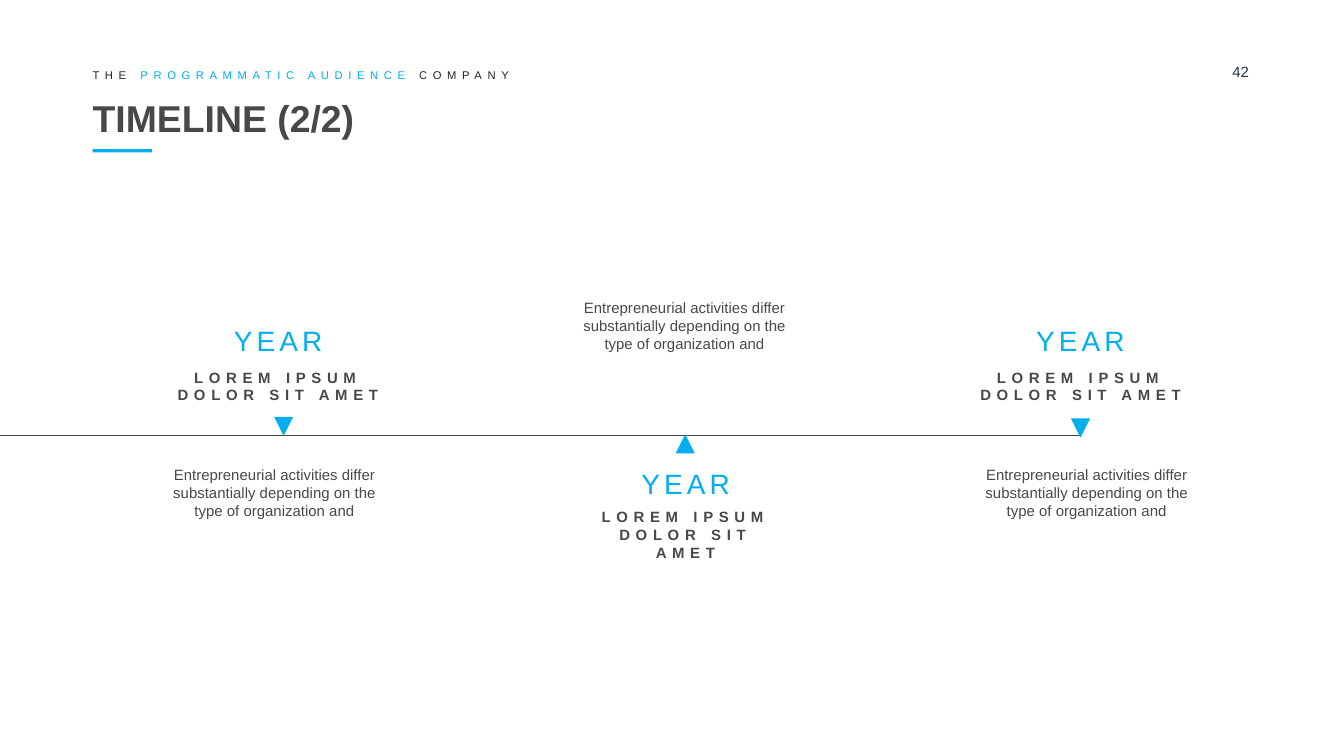
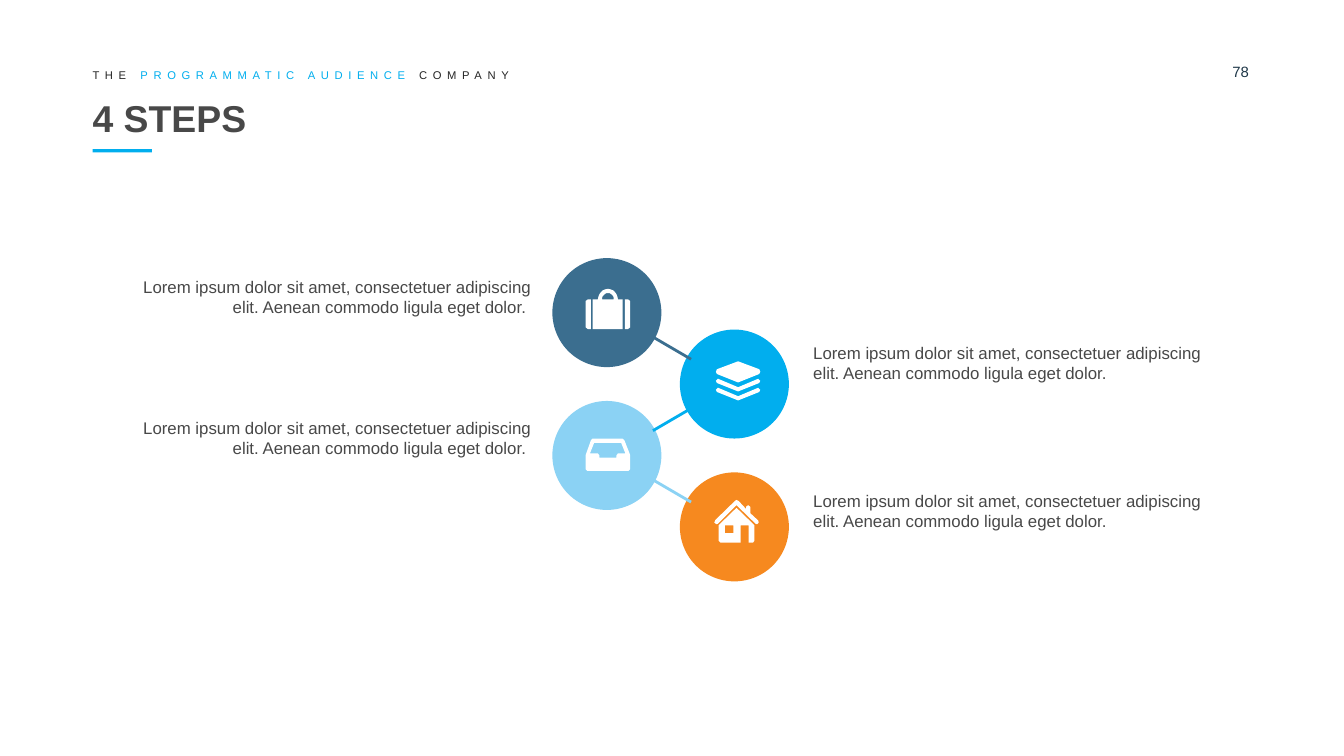
from math import cos, pi, sin

from lxml.etree import SubElement
from pptx import Presentation
from pptx.dml.color import RGBColor
from pptx.enum.shapes import MSO_CONNECTOR, MSO_SHAPE
from pptx.enum.text import MSO_ANCHOR, MSO_AUTO_SIZE, PP_ALIGN
from pptx.oxml.ns import qn
from pptx.util import Cm, Pt

CYAN = RGBColor(0x01, 0xAE, 0xEE)
STEEL = RGBColor(0x3B, 0x6E, 0x8F)
SKY = RGBColor(0x8B, 0xD2, 0xF4)
ORANGE = RGBColor(0xF6, 0x89, 0x1F)
GREY = RGBColor(0x48, 0x48, 0x48)
BLACK = RGBColor(0x24, 0x24, 0x24)
NAVY = RGBColor(0x1D, 0x36, 0x47)
WHITE = RGBColor(0xFF, 0xFF, 0xFF)

FONT = "Arial"
MARGIN = 1.75
TITLE_ONLY = 5
ACTIVITY = ("Entrepreneurial activities differ substantially "
            "depending on the type of organization and")
CAPTION = "LOREM IPSUM DOLOR SIT AMET"
STEP = ("Lorem ipsum dolor sit amet, consectetuer adipiscing elit. "
        "Aenean commodo ligula eget dolor.")


def arch(center, base, radius_x, radius_y):
    """Return the points of a half ellipse that stands on a base line."""
    angles = [pi - pi * part / 12 for part in range(13)]
    return [(center + radius_x * cos(angle), base - radius_y * sin(angle))
            for angle in angles]


def chevron(top):
    """Return the outline of one folded sheet in the layers icon."""
    return [(x, top + y) for x, y in (
        (4, 0), (42, 16), (80, 0), (84, 4), (82, 8), (42, 24), (2, 8), (0, 4))]


SUITCASE = [
    [(4, 20), (10, 20), (10, 76), (4, 76), (0, 73), (0, 23)],
    [(13, 76), (13, 20), *arch(42, 20, 19, 20), (70, 20), (70, 76)],
    arch(42, 20, 11, 12),
    [(74, 20), (80, 20), (84, 23), (84, 73), (80, 76), (74, 76)],
]
LAYERS = [
    [(42, 0), (82, 15), (84, 20), (82, 24), (42, 40), (2, 24), (0, 20), (2, 15)],
    chevron(33),
    chevron(50),
]
INBOX = [
    [(0, 31), (10, 3), (13, 0), (69, 0), (73, 3), (84, 31), (84, 58),
     (81, 61), (3, 61), (0, 58)],
    [(16, 8), (67, 8), (75, 28), (61, 28), (58, 32), (58, 36), (26, 36),
     (26, 32), (23, 28), (8, 28)],
]
HOUSE = [
    [(42, 0), (46, 2), (60, 17), (60, 13), (64, 10), (68, 13), (68, 25),
     (83, 39), (84, 43), (81, 46), (78, 45), (42, 10), (7, 45), (4, 46),
     (0, 43), (2, 38), (39, 2)],
    [(42, 15), (76, 48), (76, 77), (73, 81), (65, 81), (65, 48), (50, 48),
     (50, 81), (12, 81), (8, 77), (8, 48)],
    [(20, 48), (36, 48), (36, 63), (20, 63)],
]


def paint(shape, color):
    """Give a shape a plain fill without line or shadow."""
    shape.shadow.inherit = False
    shape.fill.solid()
    shape.fill.fore_color.rgb = color
    shape.line.fill.background()


def add_figure(page, kind, left, top, width, height, color):
    """Add a preset shape in one flat colour."""
    figure = page.shapes.add_shape(kind, Cm(left), Cm(top), Cm(width), Cm(height))
    paint(figure, color)
    return figure


def add_line(page, start, end, color, weight):
    """Add a straight line between two points."""
    line = page.shapes.add_connector(
        MSO_CONNECTOR.STRAIGHT, *[Cm(value) for value in (*start, *end)])
    line.line.color.rgb = color
    line.line.width = Pt(weight)
    SubElement(line._element.spPr, qn("a:effectLst"))


def add_icon(page, left, top, outlines):
    """Draw a white icon from outlines in hundredths of a centimetre."""
    first, *others = outlines
    builder = page.shapes.build_freeform(*first[0], scale=Cm(0.01))
    builder.add_line_segments(first[1:])
    for outline in others:
        builder.move_to(*outline[0])
        builder.add_line_segments(outline[1:])
    paint(builder.convert_to_shape(Cm(left), Cm(top)), WHITE)


def set_frame(frame, insets=(0, 0), anchor=MSO_ANCHOR.TOP, wrap=True):
    """Set the insets, anchor and wrapping of a text frame."""
    frame.auto_size = MSO_AUTO_SIZE.NONE
    frame.word_wrap = wrap
    frame.vertical_anchor = anchor
    frame.margin_left = frame.margin_right = Cm(insets[0])
    frame.margin_top = frame.margin_bottom = Cm(insets[1])


def add_span(para, text, size, color, bold=False, spacing=0):
    """Add one run to a paragraph."""
    span = para.add_run()
    span.text = text
    span.font.name = FONT
    span.font.size = Pt(size)
    span.font.bold = bold
    span.font.color.rgb = color
    if spacing:
        span._r.get_or_add_rPr().set("spc", str(round(spacing * 100)))


def add_box(page, left, top, width, height, align=PP_ALIGN.LEFT, **frame_options):
    """Add a text box and return its first paragraph."""
    box = page.shapes.add_textbox(Cm(left), Cm(top), Cm(width), Cm(height))
    set_frame(box.text_frame, **frame_options)
    para = box.text_frame.paragraphs[0]
    para.alignment = align
    return para


def add_page(deck, title, number):
    """Add a slide with the shared tagline, title, accent bar and number."""
    page = deck.slides.add_slide(deck.slide_layouts[TITLE_ONLY])
    heading = page.shapes.title
    heading.left, heading.top = Cm(MARGIN), Cm(1.75)
    heading.width, heading.height = Cm(21.9), Cm(0.94)
    set_frame(heading.text_frame, anchor=MSO_ANCHOR.MIDDLE)
    para = heading.text_frame.paragraphs[0]
    para.alignment = PP_ALIGN.LEFT
    add_span(para, title, 20, GREY, bold=True)

    add_figure(page, MSO_SHAPE.RECTANGLE, MARGIN, 2.82, 1.12, 0.06, CYAN)
    add_span(add_box(page, 23.29, 1.19, 1.09, 0.41), number, 8, NAVY)
    tagline = add_box(page, MARGIN, 1.3, 18.2, 0.25, anchor=MSO_ANCHOR.MIDDLE)
    for text, color in (("THE ", BLACK), ("PROGRAMMATIC AUDIENCE ", CYAN),
                        ("COMPANY", BLACK)):
        add_span(tagline, text, 6, color, spacing=3)
    return page


def add_milestone(page, marker, year, caption, caption_width, activity, down):
    """Add a marker with its year, caption and activity text."""
    triangle = add_figure(page, MSO_SHAPE.ISOSCELES_TRIANGLE, *marker, 0.36, 0.36, CYAN)
    triangle.rotation = 180 if down else 0
    center = PP_ALIGN.CENTER
    add_span(add_box(page, *year, 1.78, 0.64, center, wrap=False),
             "YEAR", 15, CYAN, spacing=2.2)
    add_span(add_box(page, *caption, caption_width, 1.02, center),
             CAPTION, 8, GREY, bold=True, spacing=3)
    add_span(add_box(page, *activity, 4.14, 1.02, center), ACTIVITY, 8, GREY)


def build_timeline(deck):
    """Build the timeline slide."""
    page = add_page(deck, "TIMELINE (2/2)", "42")
    add_line(page, (-0.05, 8.23), (20.42, 8.23), GREY, 0.5)
    add_milestone(page, (5.18, 7.88), (4.37, 6.12), (3.3, 6.96), 3.91,
                  (3.12, 8.81), True)
    add_milestone(page, (12.77, 8.21), (12.07, 8.81), (11.2, 9.6), 3.51,
                  (10.87, 5.64), False)
    add_milestone(page, (20.24, 7.91), (19.53, 6.12), (18.47, 6.96), 3.91,
                  (18.47, 8.81), True)


def build_steps(deck):
    """Build the slide with four linked steps."""
    page = add_page(deck, "4 STEPS", "78")
    first_top, pitch, diameter = 4.88, 1.35, 2.06
    steps = (
        (STEEL, SUITCASE, (11.07, 5.46), 5.13),
        (CYAN, LAYERS, (13.53, 6.83), 6.38),
        (SKY, INBOX, (11.07, 8.29), 7.8),
        (ORANGE, HOUSE, (13.5, 9.45), 9.17),
    )
    for index, (color, icon, place, text_top) in enumerate(steps):
        on_right = index % 2
        add_figure(page, MSO_SHAPE.OVAL, 12.85 if on_right else 10.44,
                   first_top + index * pitch, diameter, diameter, color)
        add_icon(page, *place, icon)
        para = add_box(page, 15.19 if on_right else 2.46, text_top, 7.75, 0.97,
                       PP_ALIGN.LEFT if on_right else PP_ALIGN.RIGHT,
                       insets=(0.18, 0.1))
        add_span(para, STEP if on_right else STEP + " ", 9, GREY)
    for index, (color, *_) in enumerate(steps[:-1]):
        start, end = (13.06, 12.34) if index % 2 else (12.34, 13.06)
        top = first_top + index * pitch + 1.49
        add_line(page, (start, top), (end, top + 0.42), color, 1.5)


def main():
    """Build and save the deck."""
    deck = Presentation()
    deck.slide_width, deck.slide_height = Cm(25.4), Cm(14.29)
    build_timeline(deck)
    build_steps(deck)
    deck.save("out.pptx")


if __name__ == "__main__":
    main()
